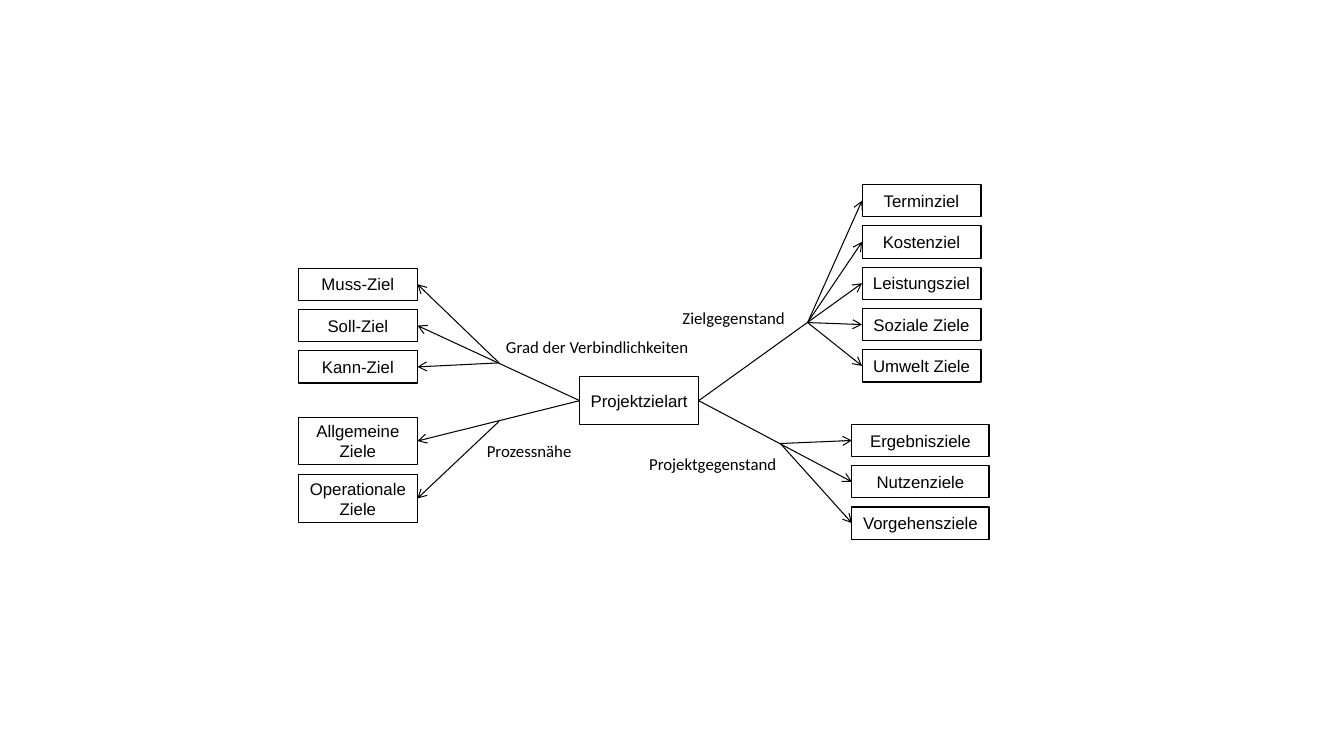
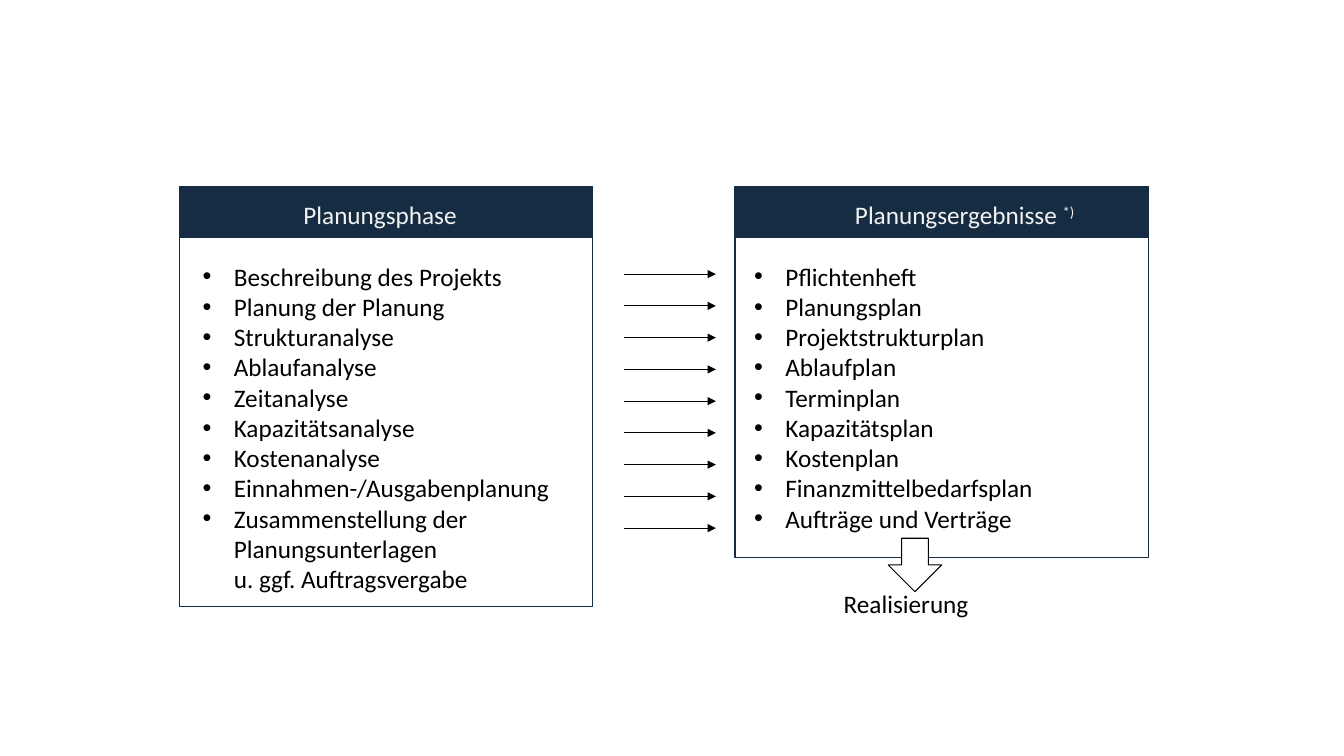
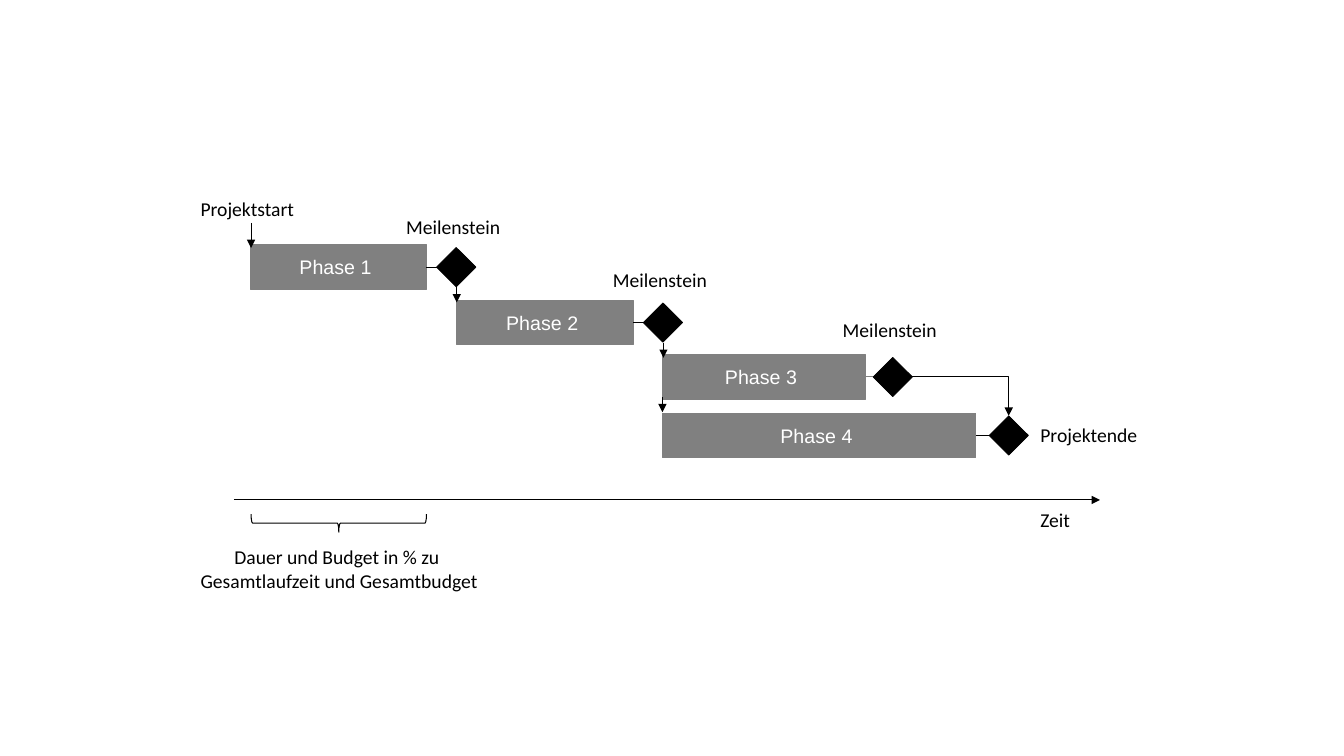
from dataclasses import dataclass

from lxml import etree
from pptx import Presentation
from pptx.dml.color import RGBColor
from pptx.enum.shapes import MSO_CONNECTOR, MSO_SHAPE
from pptx.enum.text import MSO_ANCHOR, MSO_AUTO_SIZE, PP_ALIGN
from pptx.oxml.ns import qn
from pptx.shapes.autoshape import Shape
from pptx.shapes.connector import Connector
from pptx.slide import Slide
from pptx.text.text import TextFrame
from pptx.util import Inches, Pt

COLORS = {"black": "000000", "white": "FFFFFF", "navy": "162C42",
          "pale": "F2F2F2", "gray": "808080"}
BOX_FONT = "Arial"
LABEL_FONT = "Calibri"
LINE_WIDTH = 0.75
BLANK_LAYOUT = 6

RECTANGLE = MSO_SHAPE.RECTANGLE
DIAMOND = MSO_SHAPE.FLOWCHART_DECISION
DOWN_ARROW = MSO_SHAPE.DOWN_ARROW
RIGHT_BRACE = MSO_SHAPE.RIGHT_BRACE
STRAIGHT = MSO_CONNECTOR.STRAIGHT
ELBOW = MSO_CONNECTOR.ELBOW
LEFT_ALIGN = PP_ALIGN.LEFT
CENTER = PP_ALIGN.CENTER
TOP_ANCHOR = MSO_ANCHOR.TOP
MIDDLE = MSO_ANCHOR.MIDDLE
FIT_SHAPE = MSO_AUTO_SIZE.SHAPE_TO_FIT_TEXT
TOP, LEFT, BOTTOM, RIGHT = range(4)

Point = tuple[float, float]
Box = tuple[float, float, float, float]


@dataclass(frozen=True)
class Branch:
    """A stack of goal boxes reached from one side of the central box."""
    label: str
    label_box: Box
    goals: list[str]
    first_box: Box
    pitch: float
    main: int
    fork: Point
    side: int


@dataclass(frozen=True)
class Panel:
    title: str
    note: str
    items: list[str]
    left: float
    body_height: float
    inset: float


@dataclass(frozen=True)
class Phase:
    name: str
    box: Box
    milestone_left: float
    label: str
    label_box: Box
    link_color: str = "black"


HUB_BOX = (5.75, 3.74, 1.18, 0.47)
BRANCHES = [
    Branch("Grad der Verbindlichkeiten", (4.92, 3.29, 2.18, 0.3),
           ["Muss-Ziel", "Soll-Ziel", "Kann-Ziel"],
           (2.96, 2.66, 1.18, 0.32), 0.41, 1, (4.95, 3.6), LEFT),
    Branch("Prozessnähe", (4.73, 4.32, 1.18, 0.3),
           ["Allgemeine Ziele", "Operationale Ziele"],
           (2.96, 4.14, 1.18, 0.47), 0.57, 0, (4.95, 4.18), LEFT),
    Branch("Zielgegenstand", (6.67, 3, 1.35, 0.3),
           ["Terminziel", "Kostenziel", "Leistungsziel", "Soziale Ziele",
            "Umwelt Ziele"],
           (8.55, 1.83, 1.18, 0.32), 0.41, 2, (8.01, 3.2), RIGHT),
    Branch("Projektgegenstand", (6.34, 4.45, 1.6, 0.3),
           ["Ergebnisziele", "Nutzenziele", "Vorgehensziele"],
           (8.45, 4.21, 1.36, 0.32), 0.41, 1, (7.74, 4.4), RIGHT),
]

PANEL_TOP, PANEL_WIDTH, BAND_HEIGHT = 1.85, 4.1, 0.51
HEADING_INDENT = 1
BULLET_INDENT = 0.31
ARROW_LEFT, ARROW_RIGHT, ARROW_TOP, ARROW_PITCH = 6.19, 7.1, 2.72, 0.315
PANELS = [
    Panel("Planungsphase", "",
          ["Beschreibung des Projekts", "Planung der Planung",
           "Strukturanalyse", "Ablaufanalyse", "Zeitanalyse",
           "Kapazitätsanalyse", "Kostenanalyse", "Einnahmen-/Ausgabenplanung",
           "Zusammenstellung der \vPlanungsunterlagen \vu. ggf. Auftragsvergabe"],
          1.78, 3.66, 0.23),
    Panel("Planungsergebnisse ", "*)",
          ["Pflichtenheft", "Planungsplan", "Projektstrukturplan",
           "Ablaufplan", "Terminplan", "Kapazitätsplan", "Kostenplan",
           "Finanzmittelbedarfsplan", "Aufträge und Verträge"],
          7.29, 3.17, 0.19),
]

MILESTONE_SIZE = 0.39
DROP = 0.15
PHASES = [
    Phase("Phase 1 ", (2.48, 2.43, 1.75, 0.44), 4.33,
          "Meilenstein", (3.93, 2.08, 1.19, 0.34)),
    Phase("Phase 2 ", (4.53, 2.98, 1.75, 0.44), 6.38,
          "Meilenstein", (5.98, 2.61, 1.19, 0.34)),
    Phase("Phase 3 ", (6.57, 3.52, 2.01, 0.44), 8.66,
          "Meilenstein", (8.26, 3.11, 1.19, 0.34), "gray"),
    Phase("Phase 4 ", (6.57, 4.1, 3.11, 0.44), 9.81,
          "Projektende", (10.22, 4.15, 1.25, 0.34)),
]
DROP_STARTS = [(4.53, 2.85), (6.58, 3.4), (6.57, 3.94)]


def rgb(color: str) -> RGBColor:
    return RGBColor.from_string(COLORS[color])


def style_text(frame: TextFrame, font: str, size: float, color: str,
               align: PP_ALIGN = LEFT_ALIGN) -> None:
    for paragraph in frame.paragraphs:
        paragraph.alignment = align
        for run in paragraph.runs:
            run.font.name = font
            run.font.size = Pt(size)
            run.font.color.rgb = rgb(color)


def add_figure(slide: Slide, kind: MSO_SHAPE, box: Box, fill: str = "",
               line: str = "black", line_width: float = LINE_WIDTH) -> Shape:
    """Add a preset shape; an empty fill name leaves it transparent."""
    shape = slide.shapes.add_shape(kind, *map(Inches, box))
    shape.shadow.inherit = False
    if fill:
        shape.fill.solid()
        shape.fill.fore_color.rgb = rgb(fill)
    else:
        shape.fill.background()
    shape.line.color.rgb = rgb(line)
    shape.line.width = Pt(line_width)
    return shape


def add_text_box(slide: Slide, text: str, box: Box, size: float, fill: str = "",
                 line: str = "black", color: str = "black") -> Shape:
    """Add a rectangle with centred text."""
    shape = add_figure(slide, RECTANGLE, box, fill, line)
    frame = shape.text_frame
    frame.word_wrap = True
    frame.vertical_anchor = MIDDLE
    frame.text = text
    style_text(frame, BOX_FONT, size, color, CENTER)
    return shape


def add_label(slide: Slide, text: str, box: Box, size: float,
              align: PP_ALIGN = LEFT_ALIGN) -> None:
    frame = slide.shapes.add_textbox(*map(Inches, box)).text_frame
    frame.word_wrap = False
    frame.auto_size = FIT_SHAPE
    frame.text = text
    style_text(frame, LABEL_FONT, size, "black", align)


def add_line(slide: Slide, start: Point, end: Point, head: str = "",
             color: str = "black", kind: MSO_CONNECTOR = STRAIGHT) -> Connector:
    """Add a connector with an optional arrowhead at its end."""
    connector = slide.shapes.add_connector(kind, *map(Inches, start + end))
    connector.line.color.rgb = rgb(color)
    connector.line.width = Pt(LINE_WIDTH)
    properties = connector._element.spPr
    if head:
        etree.SubElement(properties.find(qn("a:ln")), qn("a:tailEnd"), type=head)
    etree.SubElement(properties, qn("a:effectLst"))
    return connector


def side_point(box: Box, side: int) -> Point:
    """Return the middle of a box's left or right side."""
    left, top, width, height = box
    return (left + (width if side == RIGHT else 0), top + height / 2)


def draw_branch(slide: Slide, hub: Shape, branch: Branch) -> None:
    left, first_top, width, height = branch.first_box
    goal_side = RIGHT if branch.side == LEFT else LEFT
    for index, goal in enumerate(branch.goals):
        box = (left, first_top + index * branch.pitch, width, height)
        shape = add_text_box(slide, goal, box, 12)
        is_main = index == branch.main
        start = side_point(HUB_BOX, branch.side) if is_main else branch.fork
        arrow = add_line(slide, start, side_point(box, goal_side), "arrow")
        if is_main:
            arrow.begin_connect(hub, branch.side)
        arrow.end_connect(shape, goal_side)
    add_label(slide, branch.label, branch.label_box, 12)


def draw_goal_types(slide: Slide) -> None:
    hub = add_text_box(slide, "Projektzielart", HUB_BOX, 12)
    for branch in BRANCHES:
        draw_branch(slide, hub, branch)


def place_text(shape: Shape, left: float, top: float) -> TextFrame:
    """Anchor a shape's text at the given inset from its top left corner."""
    frame = shape.text_frame
    frame.word_wrap = True
    frame.vertical_anchor = TOP_ANCHOR
    frame.margin_left = Inches(left)
    frame.margin_top = Inches(top)
    return frame


def draw_panel(slide: Slide, panel: Panel) -> None:
    band = add_figure(slide, RECTANGLE,
                      (panel.left, PANEL_TOP, PANEL_WIDTH, BAND_HEIGHT),
                      "navy", "navy")
    heading = place_text(band, panel.inset + HEADING_INDENT, 0.13)
    heading.text = panel.title
    if panel.note:
        note = heading.paragraphs[0].add_run()
        note.text = panel.note
        note.font._element.set("baseline", "30000")
    style_text(heading, LABEL_FONT, 18, "pale")

    body = add_figure(slide, RECTANGLE,
                      (panel.left, PANEL_TOP + BAND_HEIGHT, PANEL_WIDTH,
                       panel.body_height), line="navy")
    content = place_text(body, panel.inset, 0.23)
    for index, item in enumerate(panel.items):
        paragraph = content.add_paragraph() if index else content.paragraphs[0]
        paragraph.text = item.replace(" \v", "\v")
        properties = paragraph._p.get_or_add_pPr()
        properties.set("marL", str(Inches(BULLET_INDENT)))
        properties.set("indent", str(-Inches(BULLET_INDENT)))
        etree.SubElement(properties, qn("a:buFont"), typeface=BOX_FONT)
        etree.SubElement(properties, qn("a:buChar"), char="•")
    style_text(content, LABEL_FONT, 18, "black")


def draw_planning(slide: Slide) -> None:
    for panel in PANELS:
        draw_panel(slide, panel)
    for index in range(len(PANELS[1].items)):
        y = ARROW_TOP + index * ARROW_PITCH
        add_line(slide, (ARROW_LEFT, y), (ARROW_RIGHT, y), "triangle")
    add_figure(slide, DOWN_ARROW, (8.81, 5.34, 0.53, 0.53), "white")
    add_label(slide, "Realisierung", (8.27, 5.79, 1.6, 0.4), 18)


def draw_phase(slide: Slide, phase: Phase) -> Shape:
    """Draw a phase bar with its milestone and return the milestone."""
    bar = add_text_box(slide, phase.name, phase.box, 14, "gray", "gray", "white")
    start = side_point(phase.box, RIGHT)
    milestone = add_figure(
        slide, DIAMOND,
        (phase.milestone_left, start[1] - MILESTONE_SIZE / 2,
         MILESTONE_SIZE, MILESTONE_SIZE), "black", line_width=0.5)
    link = add_line(slide, start, (phase.milestone_left, start[1]),
                    color=phase.link_color)
    link.begin_connect(bar, RIGHT)
    link.end_connect(milestone, LEFT)
    add_label(slide, phase.label, phase.label_box, 14)
    return milestone


def draw_schedule(slide: Slide) -> None:
    milestones = [draw_phase(slide, phase) for phase in PHASES]
    for x, y in DROP_STARTS:
        add_line(slide, (x, y), (x, y + DROP), "triangle")
    final_link = add_line(slide, (9.05, 3.74), (10, 4.12), "triangle", kind=ELBOW)
    final_link._element.spPr.find(qn("a:prstGeom")).set("prst", "bentConnector2")
    final_link.begin_connect(milestones[2], RIGHT)
    final_link.end_connect(milestones[3], TOP)

    add_label(slide, "Projektstart", (1.89, 1.9, 1.19, 0.34), 14)
    add_line(slide, (2.49, 2.21), (2.49, 2.46), "triangle")
    add_line(slide, (2.32, 4.96), (10.91, 4.96), "triangle")
    add_label(slide, "Zeit", (10.22, 4.99, 0.53, 0.34), 14)
    brace = add_figure(slide, RIGHT_BRACE, (3.27, 4.32, 0.18, 1.74))
    brace.rotation = 90
    add_label(slide, "Dauer und Budget in % zu \vGesamtlaufzeit und Gesamtbudget",
              (1.75, 5.36, 3.23, 0.57), 14, CENTER)


def main() -> None:
    presentation = Presentation()
    presentation.slide_width = Inches(13.33)
    presentation.slide_height = Inches(7.5)
    layout = presentation.slide_layouts[BLANK_LAYOUT]
    for draw in (draw_goal_types, draw_planning, draw_schedule):
        draw(presentation.slides.add_slide(layout))
    presentation.save("out.pptx")


if __name__ == "__main__":
    main()
